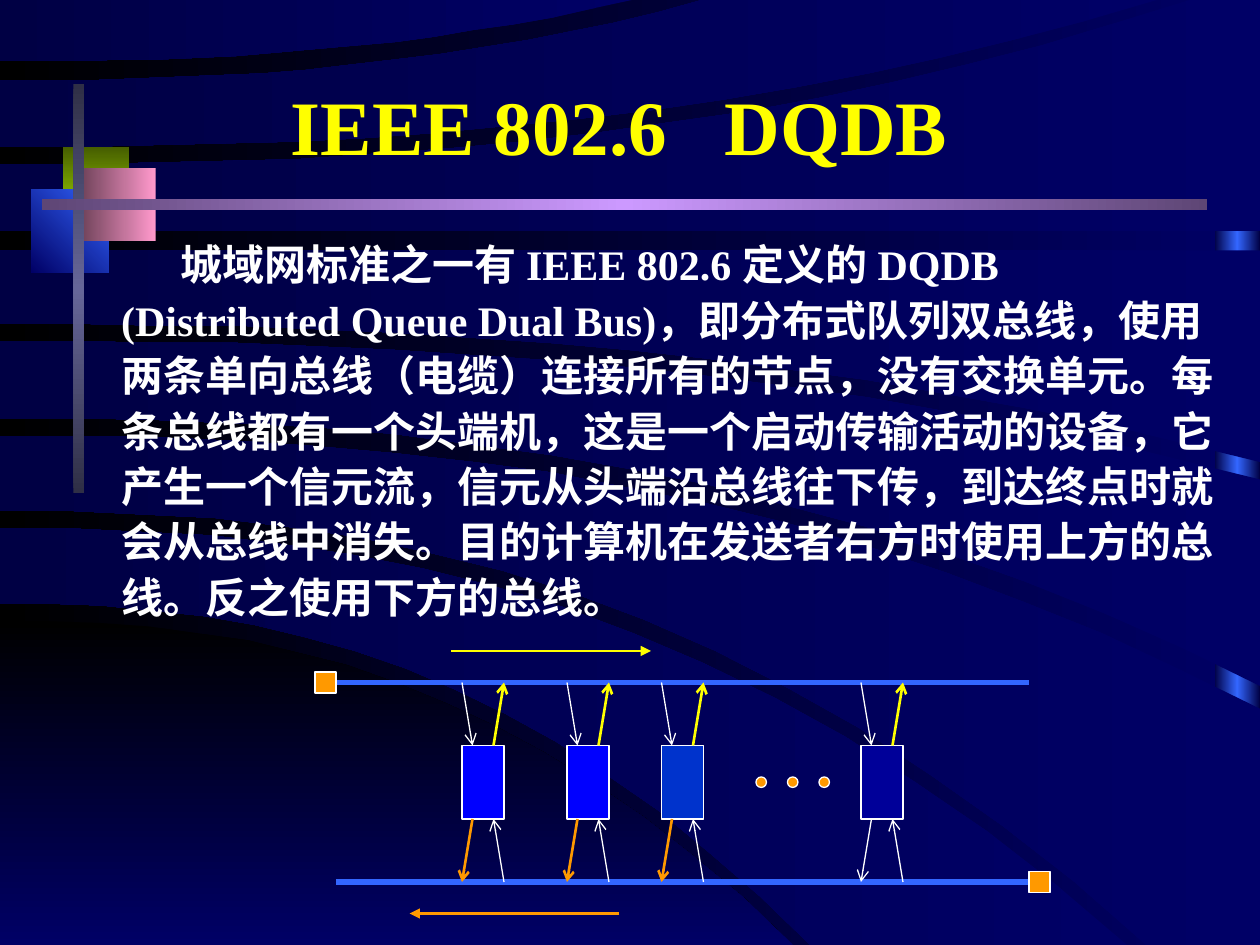
from lxml import etree
from pptx import Presentation
from pptx.dml import color
from pptx.enum import shapes, text
from pptx.oxml import ns
from pptx.util import Pt

FONT = "Times New Roman"
NAVY, DARK_NAVY, BLUE = "000066", "000044", "3366FF"
BLACK, WHITE, YELLOW, ORANGE = "000000", "FFFFFF", "FFFF00", "FF9900"

TITLE = "IEEE 802.6   DQDB"
BODY = (
    "城域网标准之一有 IEEE 802.6 定义的 DQDB (Distributed Queue Dual Bus)，"
    "即分布式队列双总线，使用两条单向总线（电缆）连接所有的节点，没有交换单元。"
    "每条总线都有一个头端机，这是一个启动传输活动的设备，它产生一个信元流，"
    "信元从头端沿总线往下传，到达终点时就会从总线中消失。"
    "目的计算机在发送者右方时使用上方的总线。反之使用下方的总线。"
)

# Upper and lower edge of each band: height at the left side, then the end point
CORNER = (355, 453, 540), (540, 453, 540)
BANDS = [
    ((302, 644, 540), (345, 463, 540)),
    ((249, 720, 405), (292, 655, 540)),
    ((195, 720, 274), (239, 720, 392)),
    ((143, 720, 143), (185, 720, 264)),
    ((94, 680, 0), (132, 720, 132)),
    ((46, 401, 0), (84, 661, 0)),
    ((0, 361, 0), (35, 361, 0)),
]
BEND = 2.4
STEPS = 16

# left, top, width, height, gradient colours, clockwise angle
ORNAMENTS = [
    (36, 84, 38, 37.5, ["465E00", "99CC00"], 90),
    (18, 108, 44, 48, [BLUE, NAVY], 135),
    (48, 96, 41, 42, ["FF99CC", "75465E"], 180),
    (42, 48, 6, 234, ["2F2F46", "666699", "2F2F46"], 90),
    (24, 114, 666, 6, ["5E4675", "CC99FF", "5E4675"], 180),
]

UPPER_BUS, LOWER_BUS = 390, 504
NODE_TOP, NODE_BOTTOM, NODE_WIDTH = 426, 468, 24
# left, fill, colour and weight of the arrow to the lower bus
NODES = [
    (264, "0000FF", ORANGE, 1.5),
    (324, "0000FF", ORANGE, 1.5),
    (378, "0033CC", ORANGE, 1.5),
    (492, "000099", WHITE, 0.75),
]


def rgb(value):
    return color.RGBColor.from_string(value)


def paint_gradient(fill, owner, colours, angle):
    """Spread the colours evenly; owner is the element holding the fill."""
    fill.gradient()
    fill.gradient_angle = (360 - angle) % 360
    stops = owner.xpath(".//a:gsLst")[0]
    for stop in list(stops):
        stops.remove(stop)
    for index, value in enumerate(colours):
        position = str(100000 * index // (len(colours) - 1))
        stop = etree.SubElement(stops, ns.qn("a:gs"), pos=position)
        etree.SubElement(stop, ns.qn("a:srgbClr"), val=value)


def finish_gradient_shape(shape, colours, angle):
    shape.shadow.inherit = False
    shape.line.fill.background()
    paint_gradient(shape.fill, shape.element, colours, angle)


def edge_points(start, end_x, end_y):
    """Follow a curve that leaves the left side level and bends to its end."""
    shares = [step / STEPS for step in range(STEPS + 1)]
    return [(end_x * share, start + (end_y - start) * share ** BEND) for share in shares]


def add_band(page, upper, lower, colours, angle):
    top, bottom = edge_points(*upper), edge_points(*lower)
    near, far = sorted([top[-1], bottom[-1]])
    points = top + [(far[0], near[1])] + bottom[::-1]
    builder = page.shapes.build_freeform(*points[0], scale=Pt(1))
    builder.add_line_segments(points[1:], close=True)
    finish_gradient_shape(builder.convert_to_shape(), colours, angle)


def add_gradient_bar(page, left, top, width, height, colours, angle):
    bar = page.shapes.add_shape(shapes.MSO_SHAPE.RECTANGLE,
                                Pt(left), Pt(top), Pt(width), Pt(height))
    finish_gradient_shape(bar, colours, angle)


def add_outlined(page, kind, left, top, width, height, fill):
    shape = page.shapes.add_shape(kind, Pt(left), Pt(top), Pt(width), Pt(height))
    shape.shadow.inherit = False
    shape.fill.solid()
    shape.fill.fore_color.rgb = rgb(fill)
    shape.line.color.rgb = rgb(WHITE)
    shape.line.width = Pt(0.75)


def add_line(page, start, end, colour, weight, arrow=None):
    line = page.shapes.add_connector(shapes.MSO_CONNECTOR.STRAIGHT,
                                     *map(Pt, start), *map(Pt, end))
    line.line.color.rgb = rgb(colour)
    line.line.width = Pt(weight)
    properties = line.element.spPr
    if arrow:
        etree.SubElement(properties.find(ns.qn("a:ln")), ns.qn("a:tailEnd"), type=arrow)
    etree.SubElement(properties, ns.qn("a:effectLst"))


def fill_placeholder(box, left, top, width, height, words, size, colour):
    """Place the box in front of the backdrop and return its paragraph."""
    box.element.getparent().append(box.element)
    box.left, box.top, box.width, box.height = map(Pt, (left, top, width, height))
    frame = box.text_frame
    frame.word_wrap = True
    frame.auto_size = text.MSO_AUTO_SIZE.NONE
    frame.text = words
    return frame.paragraphs[0]


def style_paragraph(para, size, colour):
    para.space_before = Pt(0)
    para.font.name = FONT
    para.font.size = Pt(size)
    para.font.bold = True
    para.font.color.rgb = rgb(colour)


def add_backdrop(page):
    paint_gradient(page.background.fill, page.element, [NAVY, BLACK], 180)
    add_gradient_bar(page, 694, 0, 26, 540, [DARK_NAVY, BLUE, DARK_NAVY], 180)
    add_band(page, *CORNER, [BLACK, NAVY], 90)
    for edges in BANDS:
        add_band(page, *edges, [NAVY, DARK_NAVY], 180)
    for ornament in ORNAMENTS:
        add_gradient_bar(page, *ornament)


def add_texts(page):
    title, body = page.placeholders
    para = fill_placeholder(title, 48, 26.5, 612, 90, TITLE, 44, YELLOW)
    para.alignment = text.PP_ALIGN.CENTER
    title.text_frame.vertical_anchor = text.MSO_ANCHOR.MIDDLE
    style_paragraph(para, 44, YELLOW)

    para = fill_placeholder(body, 19.5, 130, 684, 410, BODY, 24, WHITE)
    para.line_spacing = 1.1
    properties = para._p.get_or_add_pPr()
    properties.set("marL", str(Pt(42.5)))
    properties.set("indent", str(Pt(34)))
    etree.SubElement(properties, ns.qn("a:buNone"))
    style_paragraph(para, 24, WHITE)


def add_node(page, left, fill, sender_colour, sender_weight):
    right = left + NODE_WIDTH
    add_outlined(page, shapes.MSO_SHAPE.RECTANGLE, left, NODE_TOP,
                 NODE_WIDTH, NODE_BOTTOM - NODE_TOP, fill)
    add_line(page, (left, UPPER_BUS), (left + 6, NODE_TOP), WHITE, 0.75, "arrow")
    add_line(page, (right - 6, NODE_TOP), (right, UPPER_BUS), YELLOW, 1.5, "arrow")
    add_line(page, (left + 6, NODE_BOTTOM), (left, LOWER_BUS),
             sender_colour, sender_weight, "arrow")
    add_line(page, (right, LOWER_BUS), (right - 6, NODE_BOTTOM), WHITE, 0.75, "arrow")


def add_network(page):
    for bus, head_left in ((UPPER_BUS, 180), (LOWER_BUS, 588)):
        add_line(page, (192, bus), (588, bus), BLUE, 3)
        add_outlined(page, shapes.MSO_SHAPE.RECTANGLE, head_left, bus - 6, 12, 12, ORANGE)
    for node in NODES:
        add_node(page, *node)
    for index in range(3):
        add_outlined(page, shapes.MSO_SHAPE.OVAL, 432 + 18 * index, 444, 6, 6, ORANGE)
    add_line(page, (258, 372), (372, 372), YELLOW, 1.5, "triangle")
    add_line(page, (354, 522), (234, 522), ORANGE, 1.5, "triangle")


def main():
    deck = Presentation()
    deck.slide_width, deck.slide_height = Pt(720), Pt(540)
    page = deck.slides.add_slide(deck.slide_layouts[1])
    add_backdrop(page)
    add_texts(page)
    add_network(page)
    deck.save("out.pptx")


if __name__ == "__main__":
    main()
